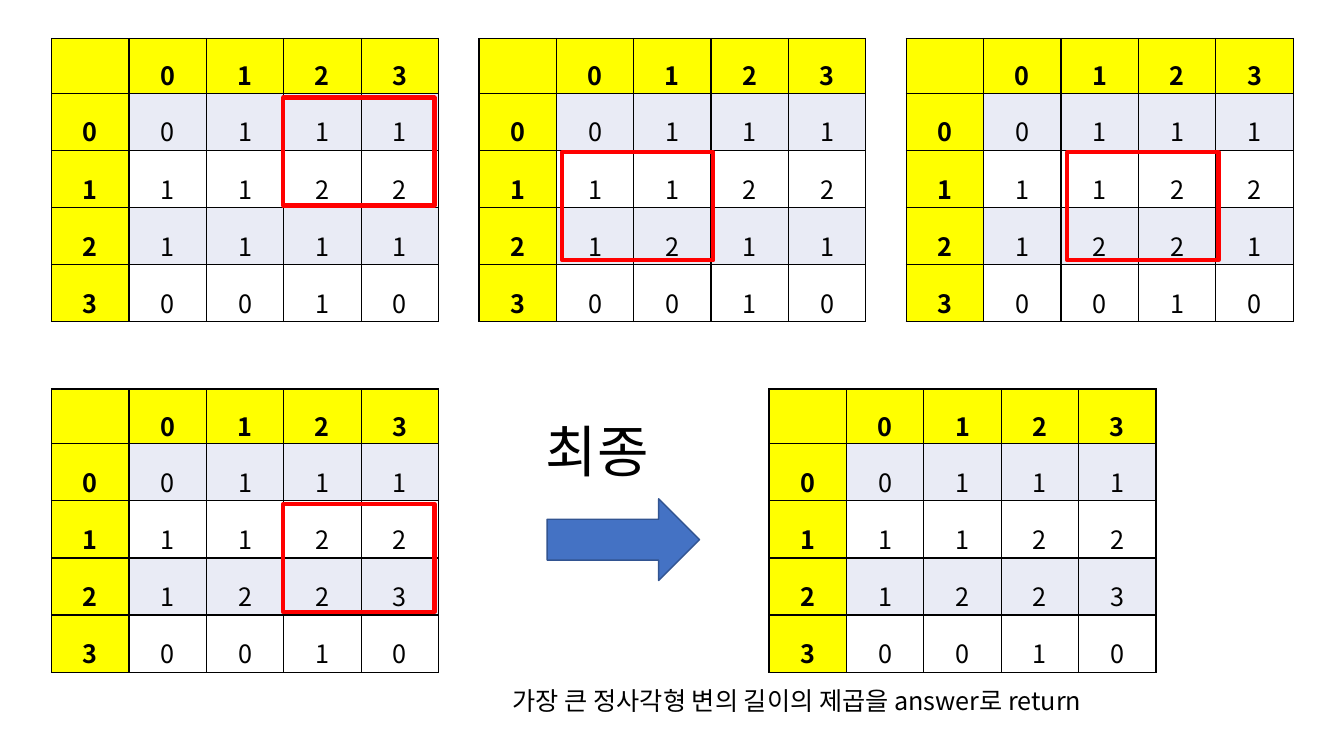
from dataclasses import dataclass

from lxml import etree
from pptx import Presentation
from pptx.dml.color import RGBColor
from pptx.enum.shapes import MSO_SHAPE
from pptx.enum.text import MSO_ANCHOR, MSO_AUTO_SIZE, PP_ALIGN
from pptx.oxml.ns import qn
from pptx.util import Cm, Pt

RECTANGLE = MSO_SHAPE.RECTANGLE
RIGHT_ARROW = MSO_SHAPE.RIGHT_ARROW
MIDDLE = MSO_ANCHOR.MIDDLE
FIT_SHAPE = MSO_AUTO_SIZE.SHAPE_TO_FIT_TEXT
LEFT = PP_ALIGN.LEFT
CENTER = PP_ALIGN.CENTER


@dataclass(frozen=True)
class Theme:
    """Colours, font and type sizes of the slide."""
    font: str = "Noto Sans CJK KR"
    text: str = "000000"
    header: str = "FFFF00"
    band: str = "E9EBF5"
    plain: str = "FFFFFF"
    highlight: str = "FF0000"
    arrow: str = "4472C4"
    arrow_line: str = "325491"
    body_size: int = 18
    title_size: int = 40


THEME = Theme()
COLUMN_WIDTH = 1.95
HEADER_HEIGHT = 1.38
ROW_HEIGHT = 1.44
GRID_LEFT = 1.3
GRID_PITCH = 10.77
FINAL_LEFT = 19.38
TOP_ROW = 0.97
BOTTOM_ROW = 9.8
HIGHLIGHT_SIZE = (3.81, 2.72)

STEPS = [
    (GRID_LEFT, TOP_ROW, "1111", (7.14, 2.46)),
    (GRID_LEFT + GRID_PITCH, TOP_ROW, "1211", (14.17, 3.84)),
    (GRID_LEFT + 2 * GRID_PITCH, TOP_ROW, "1221", (26.9, 3.84)),
    (GRID_LEFT, BOTTOM_ROW, "1223", (7.14, 12.7)),
]


def write_text(frame, text, size=THEME.body_size, bold=False, align=LEFT, spacing=1.0):
    """Write one formatted paragraph into a text frame."""
    para = frame.paragraphs[0]
    para.alignment = align
    para.line_spacing = spacing
    span = para.add_run()
    span.text = text
    span.font.size = Pt(size)
    span.font.bold = bold
    span.font.name = THEME.font
    span.font.color.rgb = RGBColor.from_string(THEME.text)
    east_asian = etree.SubElement(span.font._element, qn("a:ea"))
    east_asian.set("typeface", THEME.font)


def add_borders(cell):
    """Draw a thin line on all four sides of a table cell."""
    properties = cell._tc.get_or_add_tcPr()
    for side in ("a:lnL", "a:lnR", "a:lnT", "a:lnB"):
        line = etree.SubElement(properties, qn(side), w=str(Pt(1)))
        fill = etree.SubElement(line, qn("a:solidFill"))
        etree.SubElement(fill, qn("a:srgbClr"), val=THEME.text)


def format_cell(cell, text, color, bold):
    """Give a table cell its borders, fill and centred text."""
    add_borders(cell)
    cell.fill.solid()
    cell.fill.fore_color.rgb = RGBColor.from_string(color)
    cell.margin_top = cell.margin_bottom = 0
    cell.vertical_anchor = MIDDLE
    if text:
        write_text(cell.text_frame, text, bold=bold, align=CENTER, spacing=1.5)


def add_grid(page, left, top, third_row):
    """Add an indexed number grid whose third value row is given."""
    values = ["0111", "1122", third_row, "0010"]
    rows = [["", *"0123"]] + [[str(index), *row] for index, row in enumerate(values)]
    count = len(rows)
    height = HEADER_HEIGHT + (count - 1) * ROW_HEIGHT
    table = page.shapes.add_table(
        count, count, Cm(left), Cm(top), Cm(count * COLUMN_WIDTH), Cm(height)).table
    table.first_row = table.horz_banding = False
    for column in table.columns:
        column.width = Cm(COLUMN_WIDTH)
    for row_index, row in enumerate(rows):
        table.rows[row_index].height = Cm(ROW_HEIGHT if row_index else HEADER_HEIGHT)
        for column_index, text in enumerate(row):
            heading = row_index == 0 or column_index == 0
            body = THEME.band if row_index % 2 else THEME.plain
            color = THEME.header if heading else body
            format_cell(table.cell(row_index, column_index), text, color, heading)


def add_figure(page, kind, left, top, width, height, line, line_width, fill=None):
    """Add a preset shape with an outline and an optional fill."""
    figure = page.shapes.add_shape(kind, Cm(left), Cm(top), Cm(width), Cm(height))
    figure.shadow.inherit = False
    figure.line.color.rgb = RGBColor.from_string(line)
    figure.line.width = Pt(line_width)
    if fill:
        figure.fill.solid()
        figure.fill.fore_color.rgb = RGBColor.from_string(fill)
    else:
        figure.fill.background()


def add_label(page, text, left, top, width, height, **text_format):
    """Add an unwrapped text box."""
    box = page.shapes.add_textbox(Cm(left), Cm(top), Cm(width), Cm(height))
    box.text_frame.word_wrap = False
    box.text_frame.auto_size = FIT_SHAPE
    write_text(box.text_frame, text, **text_format)


def main():
    """Build the slide and save the deck."""
    deck = Presentation()
    deck.slide_width, deck.slide_height = Cm(33.87), Cm(19.05)
    page = deck.slides.add_slide(deck.slide_layouts[6])
    for left, top, third_row, corner in STEPS:
        add_grid(page, left, top, third_row)
        add_figure(page, RECTANGLE, *corner, *HIGHLIGHT_SIZE, THEME.highlight, 3)
    add_grid(page, FINAL_LEFT, BOTTOM_ROW, "1223")
    add_label(page, "최종", 13.51, 10.36, 3.35, 1.96, size=THEME.title_size)
    add_figure(page, RIGHT_ARROW, 13.79, 12.57, 3.84, 2.06,
               THEME.arrow_line, 1, fill=THEME.arrow)
    add_label(page, "가장 큰 정사각형 변의 길이의 제곱을 answer로 return",
              12.67, 17.15, 16.36, 1.02)
    deck.save("out.pptx")


if __name__ == "__main__":
    main()
